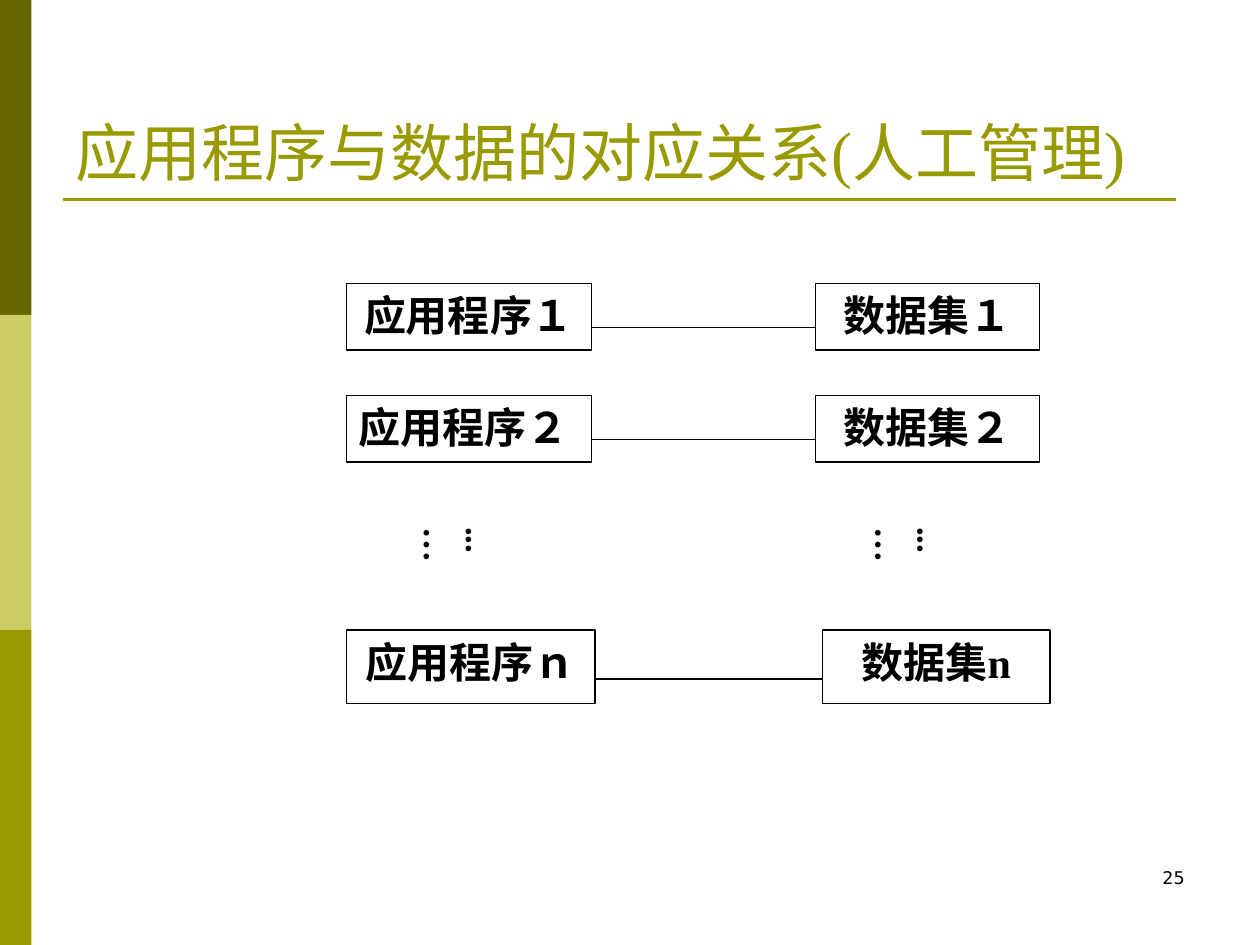
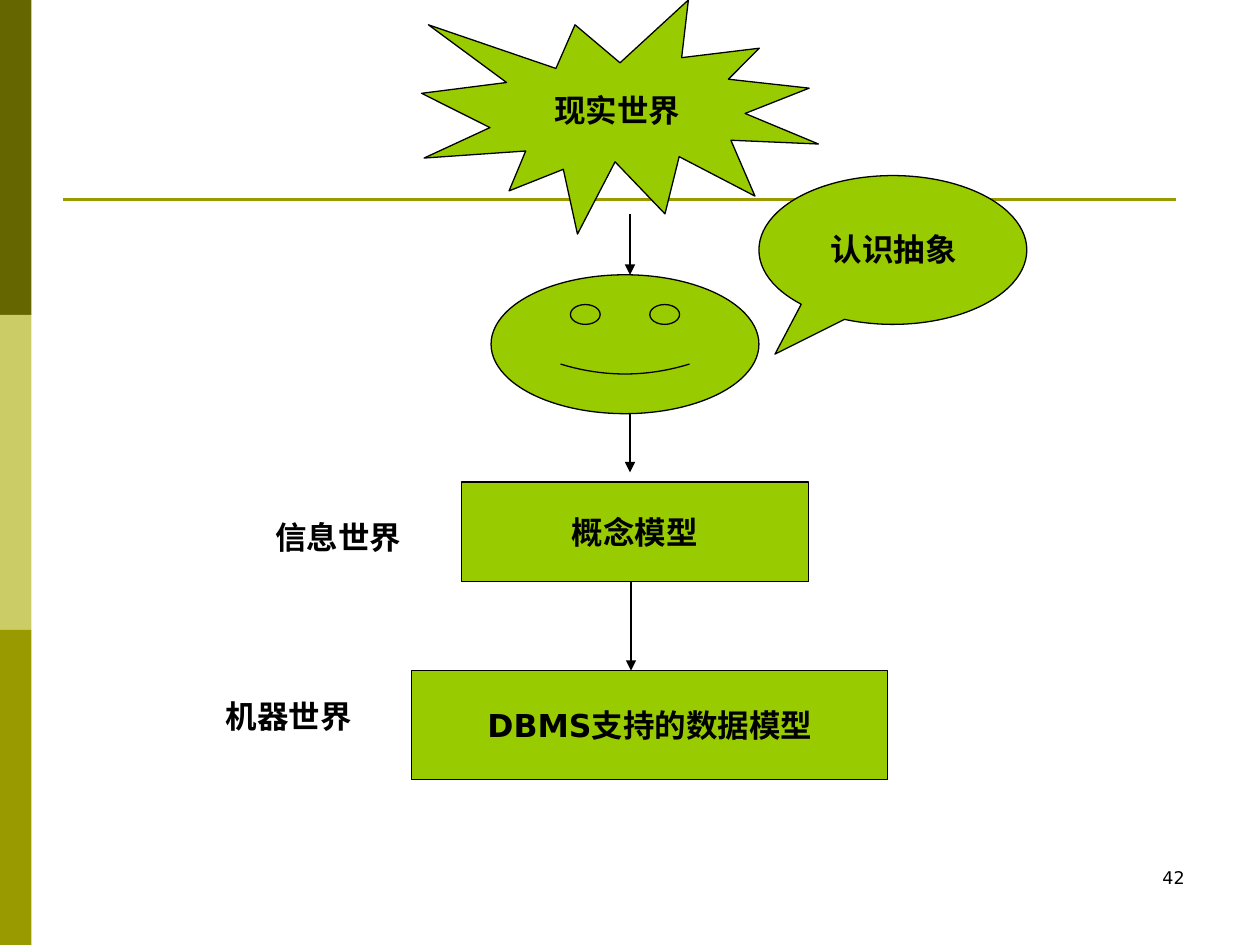
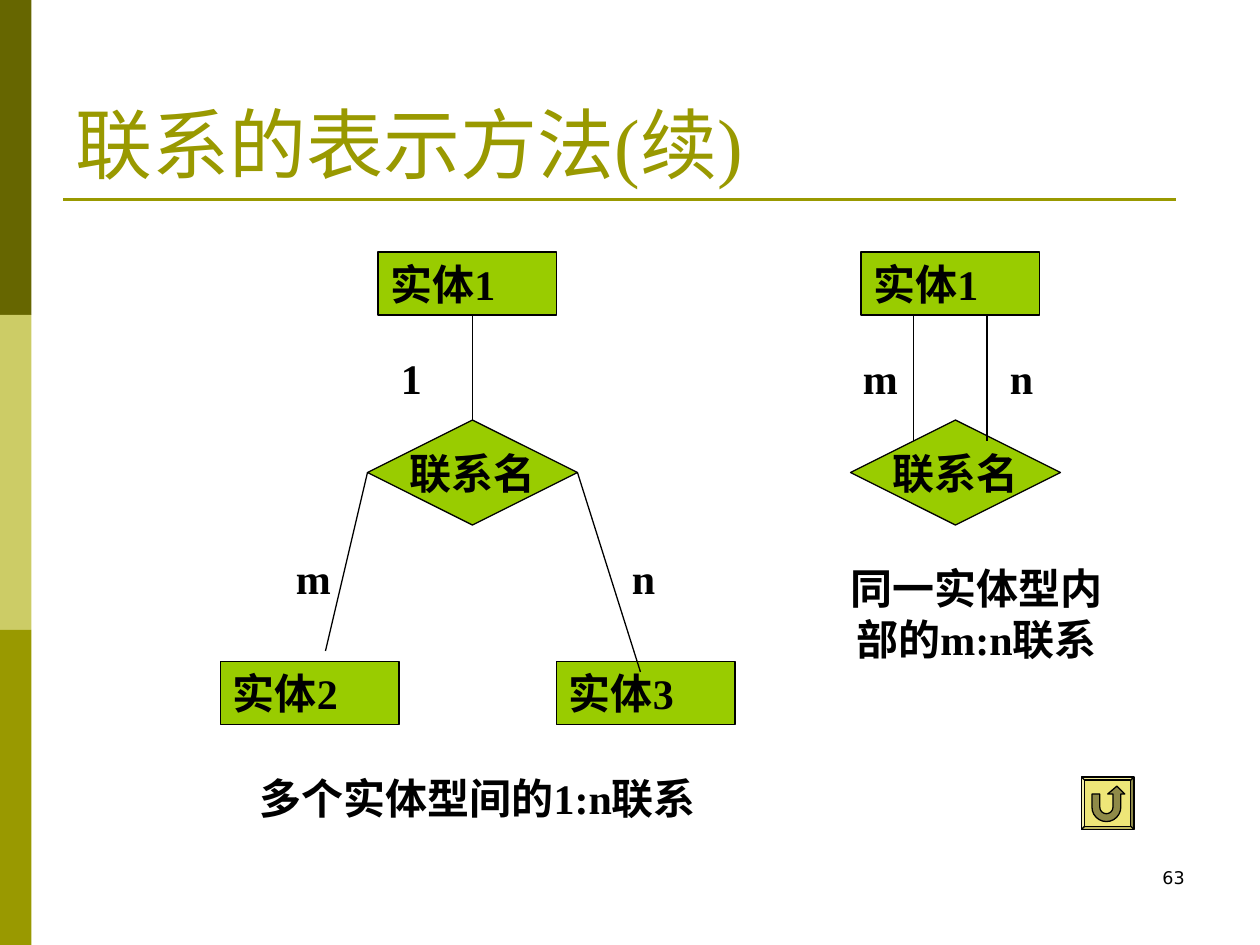
import math
from dataclasses import dataclass

import lxml.etree
import pptx
import pptx.dml.color
import pptx.enum.shapes
import pptx.enum.text
import pptx.oxml.ns
import pptx.util

SHAPE = pptx.enum.shapes.MSO_SHAPE
ALIGN = pptx.enum.text.PP_ALIGN
ANCHOR = pptx.enum.text.MSO_ANCHOR
SANS, SERIF = "DejaVu Sans", "Times New Roman"
BLACK, WHITE, LIME, OLIVE = "000000", "FFFFFF", "99CC00", "999900"
BANDS = ["666600", "CCCC66", OLIVE]
BUTTON, BUTTON_ARROW = "EEE678", "8F8A48"
BODY = {"name": SERIF, "size": pptx.util.Pt(24), "bold": True}
LABEL = {"name": SANS, "size": pptx.util.Pt(18), "bold": True}
NUMBER = {"name": SANS, "size": pptx.util.Pt(10)}
CENTRED = {"word_wrap": False, "vertical_anchor": ANCHOR.MIDDLE}
NO_WRAP = {"word_wrap": False}
SLIDE_W, SLIDE_H = 10, 7.5


@dataclass(frozen=True)
class Box:
    left: float
    top: float
    unit: float

    def sub(self, col, row):
        return Box(*self.point(col, row), self.unit)

    def point(self, col, row):
        return round(self.left + col * self.unit), round(self.top + row * self.unit)

    def area(self, col, row, w, h):
        return *self.point(col, row), round(w * self.unit), round(h * self.unit)


def slide_box(cols):
    return Box(0, 0, pptx.util.Inches(SLIDE_W) / cols)


def color(value):
    return pptx.dml.color.RGBColor.from_string(value)


def set_all(target, values):
    for name, value in values.items():
        setattr(target, name, value)


def write(sp, text, font, align=ALIGN.LEFT, frame=None, ink=BLACK):
    tf = sp.text_frame
    set_all(tf, {"word_wrap": True, "vertical_anchor": ANCHOR.TOP} | (frame or {}))
    p = tf.paragraphs[0]
    p.alignment = align
    r = p.add_run()
    r.text = text
    set_all(r.font, font)
    r.font.color.rgb = color(ink)


def add_text(s, area, text, font, align=ALIGN.LEFT, frame=None, ink=BLACK):
    sp = s.shapes.add_textbox(*area)
    write(sp, text, font, align, frame, ink)
    return sp


def paint(sp, fill=None, line=BLACK):
    sp.shadow.inherit = False
    if fill:
        sp.fill.solid()
        sp.fill.fore_color.rgb = color(fill)
    else:
        sp.fill.background()
    if line:
        sp.line.color.rgb = color(line)
        sp.line.width = pptx.util.Pt(0.75)
    else:
        sp.line.fill.background()


def add_shape(s, kind, area, fill=LIME, line=BLACK):
    sp = s.shapes.add_shape(kind, *area)
    paint(sp, fill, line)
    return sp


def add_outline(s, box, points, fill=None, close=True):
    spots = [box.point(*point) for point in points]
    builder = s.shapes.build_freeform(*spots[0])
    builder.add_line_segments(spots[1:], close=close)
    sp = builder.convert_to_shape()
    paint(sp, fill)
    return sp


def add_line(s, start, end, ink=BLACK, width=0.75, arrow=False):
    straight = pptx.enum.shapes.MSO_CONNECTOR.STRAIGHT
    cn = s.shapes.add_connector(straight, *start, *end)
    cn.line.color.rgb = color(ink)
    cn.line.width = pptx.util.Pt(width)
    if arrow:
        ln = cn.line._get_or_add_ln()
        lxml.etree.SubElement(ln, pptx.oxml.ns.qn("a:tailEnd"), type="triangle")
    lxml.etree.SubElement(cn._element.spPr, pptx.oxml.ns.qn("a:effectLst"))
    return cn


def add_page(prs, number, title=None, size=44):
    s = prs.slides.add_slide(prs.slide_layouts[6])
    box = slide_box(120)
    for i, band in enumerate(BANDS):
        add_shape(s, SHAPE.RECTANGLE, box.area(0, 30 * i, 3, 30), band, None)
    add_line(s, box.point(6, 19), box.point(112, 19), OLIVE, 1.5)
    add_text(s, box.area(86, 82, 28, 6), str(number), NUMBER, ALIGN.RIGHT)
    if title:
        font = {"name": SERIF, "size": pptx.util.Pt(size)}
        frame = {"vertical_anchor": ANCHOR.BOTTOM}
        add_text(s, box.area(6, 3.6, 108, 15), title, font, frame=frame, ink=OLIVE)
    return s


def program_row(s, box, program, data, align=ALIGN.CENTER, grow=0):
    program_w, data_x, data_w, h = 70 + grow, 134 + 2 * grow, 64 + grow, 19 + 2 * grow
    cells = [(0, program_w, program, align), (data_x, data_w, data, ALIGN.CENTER)]
    for x, w, text, side in cells:
        sp = add_shape(s, SHAPE.RECTANGLE, box.area(x, 0, w, h), WHITE)
        write(sp, text, BODY, side)
    y = 12.6 + 1.4 * grow
    add_line(s, box.point(program_w, y), box.point(data_x, y))


def vertical_dots(s, area):
    narrow, wide = pptx.util.Inches(0.05), pptx.util.Inches(0.1)
    frame = {"margin_left": narrow, "margin_right": narrow,
             "margin_top": wide, "margin_bottom": wide}
    sp = add_text(s, area, "...…", BODY | {"size": pptx.util.Pt(20)}, frame=frame)
    sp.text_frame._txBody.bodyPr.set("vert", "eaVert")


def program_data_map(s, box):
    program_row(s, box, "应用程序１", "数据集１")
    program_row(s, box.sub(0, 32), "应用程序２", "数据集２", ALIGN.JUSTIFY)
    for x in (27, 156):
        vertical_dots(s, box.area(x, 66, 19, 24))
    program_row(s, box.sub(0, 99), "应用程序ｎ", "数据集n", grow=1)


def face(s, box):
    add_shape(s, SHAPE.OVAL, box.area(0, 0, 27, 14))
    for x in (8, 16):
        add_shape(s, SHAPE.OVAL, box.area(x, 3, 3, 2))
    steps = 20
    smile = [(7 + 13 * i / steps, 9 + 4 * i / steps * (1 - i / steps))
             for i in range(steps + 1)]
    add_outline(s, box, smile, close=False)


def world_models(s, box):
    stages = [(SHAPE.EXPLOSION1, (1, 0, 40, 23.6), "现实世界"),
              (SHAPE.RECTANGLE, (5, 48.6, 35, 10), "概念模型"),
              (SHAPE.RECTANGLE, (0, 67.6, 48, 11), "DBMS支持的数据模型")]
    for kind, area, text in stages:
        write(add_shape(s, kind, box.area(*area)), text, LABEL, ALIGN.CENTER, CENTRED)
    face(s, box.sub(8, 27.7))
    callout = add_shape(s, SHAPE.OVAL_CALLOUT, box.area(35, 17.7, 27, 15))
    callout.adjustments[0], callout.adjustments[1] = -0.44, 0.7
    for x, y, text in [(41, 22.6, "认识抽象"), (-15, 51.6, "信息世界"),
                       (-20, 69.6, "机器世界")]:
        add_text(s, box.area(x, y, 15.2, 5), text, LABEL, frame=NO_WRAP)
    for x, top, bottom in [(22, 21.6, 27.7), (22, 41.7, 47.6), (22.1, 58.6, 67.6)]:
        add_line(s, box.point(x, top), box.point(x, bottom), arrow=True)


def entity(s, box, col, row, text):
    write(add_shape(s, SHAPE.RECTANGLE, box.area(col, row, 17, 6)), text, BODY)


def relation(s, box, col, row):
    sp = add_shape(s, SHAPE.DIAMOND, box.area(col, row, 20, 10))
    write(sp, "联系名", BODY, ALIGN.CENTER, CENTRED)
    return sp


def roles(s, box, marks):
    for col, row, text in marks:
        add_text(s, box.area(col, row, 5, 6), text, BODY)


def several_entities(s, box):
    entity(s, box, 15, 0, "实体1")
    diamond = relation(s, box, 14, 16)
    entity(s, box, 0, 39, "实体2")
    entity(s, box, 32, 39, "实体3")
    for site, start, end in [(0, (24, 16), (24, 6)), (1, (14, 21), (10, 38)),
                             (3, (34, 21), (40, 40))]:
        cn = add_line(s, box.point(*start), box.point(*end))
        cn.begin_connect(diamond, site)
    roles(s, box, [(16, 9, "1"), (6, 28, "m"), (38, 28, "n")])
    add_text(s, box.area(0, 49, 49, 6), "多个实体型间的1:n联系", BODY, ALIGN.CENTER)


def single_entity(s, box):
    entity(s, box, 4, 0, "实体1")
    relation(s, box, 3, 16)
    for x in (9, 16):
        add_line(s, box.point(x, 6), box.point(x, 18))
    roles(s, box, [(3, 9, "m"), (17, 9, "n")])
    add_text(s, box.area(0, 29, 30, 10.8), "同一实体型内部的m:n联系", BODY, ALIGN.CENTER)


def half_ring(radius, turn):
    angles = [math.pi * i / 12 for i in range(13)]
    return [(19 + turn * radius * math.cos(a), 23 + radius * math.sin(a))
            for a in angles]


def return_button(s, box):
    bevel = add_shape(s, SHAPE.BEVEL, box.area(0, 0, 40, 40), BUTTON)
    bevel.adjustments[0] = 0.06
    head = [(24, 13), (20, 13), (27, 7), (33, 13), (30, 13)]
    arrow = [(8, 13), (14, 13)] + half_ring(5, -1) + head + half_ring(11, 1)
    add_outline(s, box, arrow, BUTTON_ARROW)


def main():
    prs = pptx.Presentation()
    prs.slide_width = pptx.util.Inches(SLIDE_W)
    prs.slide_height = pptx.util.Inches(SLIDE_H)

    s = add_page(prs, 25, "应用程序与数据的对应关系(人工管理)", 36)
    program_data_map(s, slide_box(360).sub(99, 81))

    s = add_page(prs, 42)
    world_models(s, slide_box(127).sub(41.5, 0))

    s = add_page(prs, 63, "联系的表示方法(续)")
    box = slide_box(120)
    single_entity(s, box.sub(78, 24))
    several_entities(s, box.sub(21, 24))
    return_button(s, slide_box(960).sub(824, 592))

    prs.save("out.pptx")


if __name__ == "__main__":
    main()
